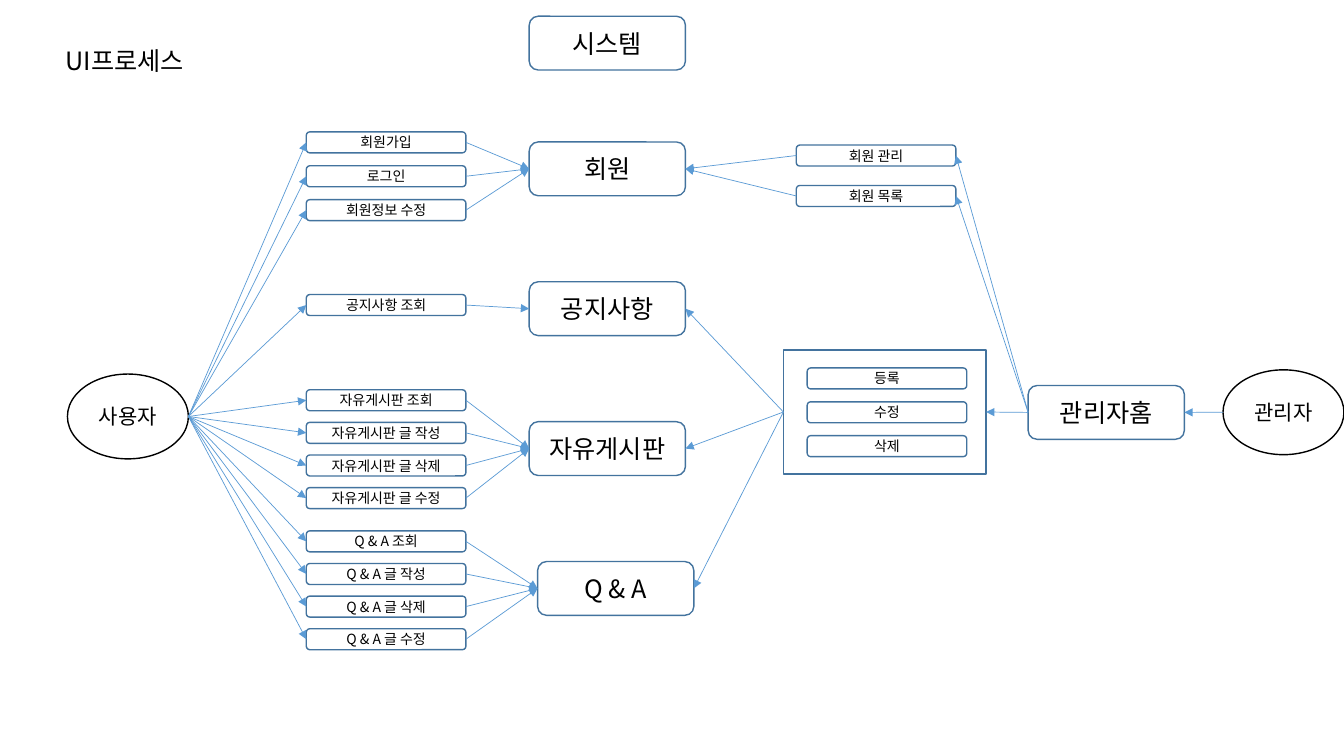
from dataclasses import dataclass

from lxml.etree import SubElement
from pptx import Presentation
from pptx.dml.color import RGBColor
from pptx.enum.shapes import MSO_CONNECTOR, MSO_SHAPE
from pptx.enum.text import MSO_ANCHOR, MSO_AUTO_SIZE, PP_ALIGN
from pptx.oxml.ns import qn
from pptx.shapes.autoshape import Shape
from pptx.text.text import TextFrame
from pptx.util import Pt

FONT = "Noto Sans CJK KR"
BLACK = RGBColor(0x00, 0x00, 0x00)
WHITE = RGBColor(0xFF, 0xFF, 0xFF)
OUTLINE = RGBColor(0x43, 0x73, 0x9E)
ARROW = RGBColor(0x5B, 0x9B, 0xD5)

LEFT_SITE, RIGHT_SITE = 1, 3


@dataclass(frozen=True)
class Style:
    kind: MSO_SHAPE
    width: float
    height: float
    line: RGBColor
    size: float


@dataclass(frozen=True)
class ActionColumn:
    left: float
    top: float
    pitch: float
    labels: tuple[str, ...]


@dataclass(frozen=True)
class Section:
    label: str
    left: float
    top: float
    user_actions: ActionColumn


ACTOR = Style(MSO_SHAPE.OVAL, 86.4, 60.6, BLACK, 15)
HUB = Style(MSO_SHAPE.ROUNDED_RECTANGLE, 111.6, 38.4, OUTLINE, 18)
ACTION = Style(MSO_SHAPE.ROUNDED_RECTANGLE, 114, 15, OUTLINE, 10)
FRAME = Style(MSO_SHAPE.RECTANGLE, 144.8, 88.6, OUTLINE, 10)

HUB_LEFT, HUB_TOP, HUB_PITCH = 378, 101.4, 99.9
USER_LEFT = 218.8
EDIT_PITCH = 23.3


def edit_labels(subject: str) -> tuple[str, ...]:
    return tuple(f"{subject} {verb}" for verb in ("조회", "글 작성", "글 삭제", "글 수정"))


SECTIONS = (
    Section("회원", HUB_LEFT, HUB_TOP,
            ActionColumn(USER_LEFT, 94.2, 24.2, ("회원가입", "로그인", "회원정보 수정"))),
    Section("공지사항", HUB_LEFT, HUB_TOP + HUB_PITCH,
            ActionColumn(USER_LEFT, 210.4, 0, ("공지사항 조회",))),
    Section("자유게시판", HUB_LEFT, HUB_TOP + 2 * HUB_PITCH,
            ActionColumn(USER_LEFT, 278.4, EDIT_PITCH, edit_labels("자유게시판"))),
    Section("Q & A", HUB_LEFT + 6, HUB_TOP + 3 * HUB_PITCH,
            ActionColumn(USER_LEFT, 379.2, EDIT_PITCH, edit_labels("Q & A"))),
)
MEMBER_ADMIN = ActionColumn(568.8, 103.6, 28.9, ("회원 관리", "회원 목록"))
POST_ADMIN = ActionColumn(576.6, 262.8, 24.2, ("등록", "수정", "삭제"))


def write_text(text_frame: TextFrame, text: str, size: float, alignment: PP_ALIGN) -> None:
    text_frame.text = text
    text_frame.word_wrap = False
    text_frame.auto_size = MSO_AUTO_SIZE.NONE
    paragraph = text_frame.paragraphs[0]
    paragraph.alignment = alignment
    run = paragraph.runs[0]
    run.font.size = Pt(size)
    run.font.color.rgb = BLACK
    run.font.name = FONT
    SubElement(run._r.get_or_add_rPr(), qn("a:ea"), typeface=FONT)


def draw_shape(shapes, style: Style, left: float, top: float, label: str = "") -> Shape:
    shape = shapes.add_shape(style.kind, Pt(left), Pt(top), Pt(style.width), Pt(style.height))
    shape.shadow.inherit = False
    shape.fill.solid()
    shape.fill.fore_color.rgb = WHITE
    shape.line.color.rgb = style.line
    shape.line.width = Pt(1)
    if label:
        text_frame = shape.text_frame
        text_frame.vertical_anchor = MSO_ANCHOR.MIDDLE
        text_frame.margin_top = text_frame.margin_bottom = 0
        write_text(text_frame, label, style.size, PP_ALIGN.CENTER)
    return shape


def draw_actions(shapes, column: ActionColumn) -> list[Shape]:
    return [draw_shape(shapes, ACTION, column.left, column.top + row * column.pitch, label)
            for row, label in enumerate(column.labels)]


def draw_arrow(shapes, source: Shape, target: Shape) -> None:
    """Join the facing sides of two shapes with a straight arrow."""
    rightward = source.left < target.left
    begin_x = source.left + source.width if rightward else source.left
    end_x = target.left if rightward else target.left + target.width
    connector = shapes.add_connector(
        MSO_CONNECTOR.STRAIGHT,
        begin_x, source.top + source.height // 2,
        end_x, target.top + target.height // 2)
    # Ovals number their connection sites differently, so only boxes are glued
    if source.auto_shape_type != MSO_SHAPE.OVAL:
        connector.begin_connect(source, RIGHT_SITE if rightward else LEFT_SITE)
    connector.end_connect(target, LEFT_SITE if rightward else RIGHT_SITE)
    connector.line.color.rgb = ARROW
    connector.line.width = Pt(0.5)
    SubElement(connector.line._get_or_add_ln(), qn("a:tailEnd"), type="triangle")
    SubElement(connector._element.spPr, qn("a:effectLst"))


presentation = Presentation()
presentation.slide_width, presentation.slide_height = Pt(960), Pt(540)
slide = presentation.slides.add_slide(presentation.slide_layouts[5])
shapes = slide.shapes

# Title
title = shapes.title
title.left, title.top, title.width, title.height = Pt(39.6), Pt(28.8), Pt(111), Pt(28.8)
title.text_frame.vertical_anchor = MSO_ANCHOR.TOP
write_text(title.text_frame, "UI프로세스", 18, PP_ALIGN.LEFT)

# Actors and entry points
draw_shape(shapes, HUB, HUB_LEFT, 11.6, "시스템")
user = draw_shape(shapes, ACTOR, 48.2, 267.2, "사용자")
admin = draw_shape(shapes, ACTOR, 873.6, 264.2, "관리자")
admin_home = draw_shape(shapes, HUB, 734.4, 275.4, "관리자홈")
draw_arrow(shapes, admin, admin_home)

# Sections with the user's actions
hubs = []
for section in SECTIONS:
    hub = draw_shape(shapes, HUB, section.left, section.top, section.label)
    hubs.append(hub)
    for action in draw_actions(shapes, section.user_actions):
        draw_arrow(shapes, user, action)
        draw_arrow(shapes, action, hub)
member_hub, *post_hubs = hubs

# Member administration
for action in draw_actions(shapes, MEMBER_ADMIN):
    draw_arrow(shapes, admin_home, action)
    draw_arrow(shapes, action, member_hub)

# Post administration
post_group = shapes.add_group_shape()
post_frame = draw_shape(post_group.shapes, FRAME, 559.6, 250, "")
draw_actions(post_group.shapes, POST_ADMIN)
draw_arrow(shapes, admin_home, post_frame)
for hub in post_hubs:
    draw_arrow(shapes, post_frame, hub)

presentation.save("out.pptx")
